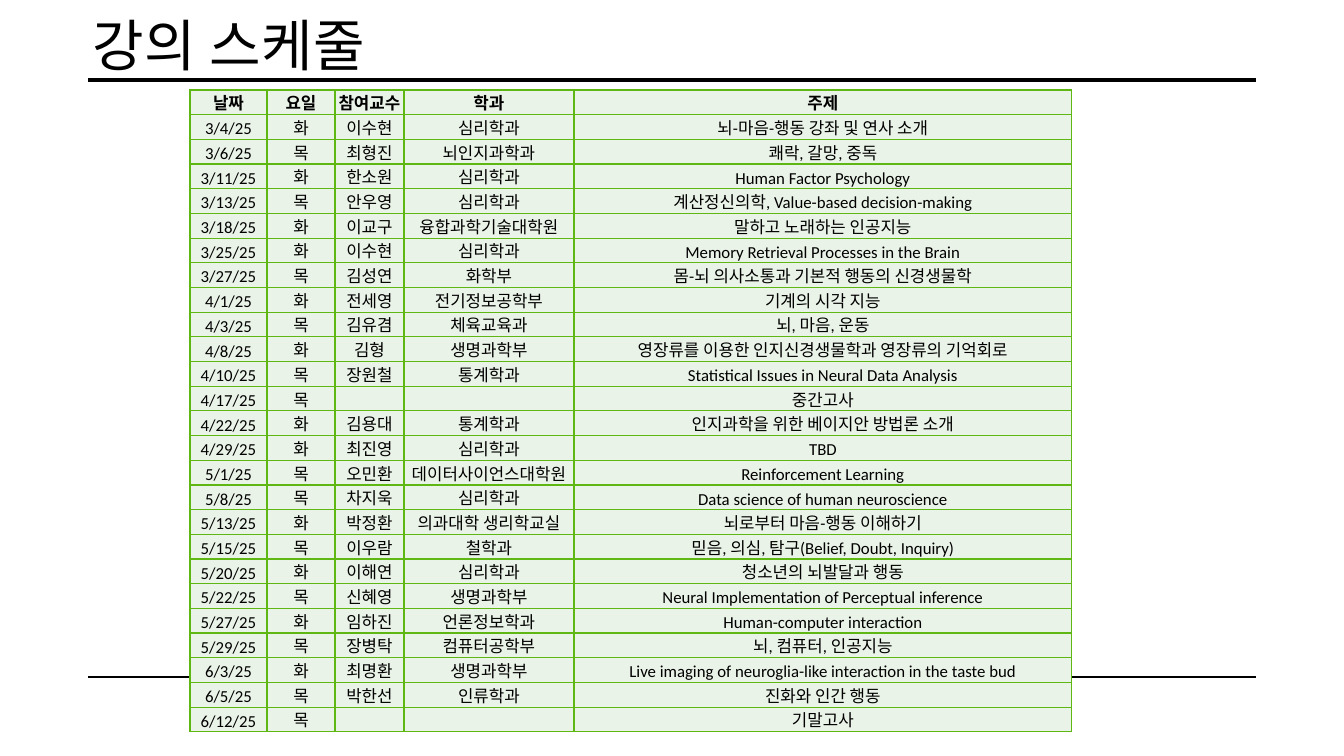
from pptx import Presentation
from pptx.dml.color import RGBColor
from pptx.enum.shapes import MSO_CONNECTOR as Connector
from pptx.enum.text import MSO_ANCHOR as Anchor, PP_ALIGN as Align
from pptx.oxml import parse_xml
from pptx.oxml.ns import nsdecls
from pptx.util import Emu, Pt

SLIDE_W, SLIDE_H = 1344, 756
EMU_PER_PX = 12192000 / SLIDE_W

BLACK = RGBColor(0x00, 0x00, 0x00)
PALE_GREEN = RGBColor(0xEA, 0xF3, 0xE7)
GREEN = RGBColor(0x5F, 0xB7, 0x14)

COLUMN_WIDTHS = (77, 68, 69, 170, 498)
SCHEDULE = [
    ("날짜", "요일", "참여교수", "학과", "주제"),
    ("3/4/25", "화", "이수현", "심리학과", "뇌-마음-행동 강좌 및 연사 소개"),
    ("3/6/25", "목", "최형진", "뇌인지과학과", "쾌락, 갈망, 중독"),
    ("3/11/25", "화", "한소원", "심리학과", "Human Factor Psychology"),
    ("3/13/25", "목", "안우영", "심리학과", "계산정신의학, Value-based decision-making"),
    ("3/18/25", "화", "이교구", "융합과학기술대학원", "말하고 노래하는 인공지능"),
    ("3/25/25", "화", "이수현", "심리학과", "Memory Retrieval Processes in the Brain"),
    ("3/27/25", "목", "김성연", "화학부", "몸-뇌 의사소통과 기본적 행동의 신경생물학"),
    ("4/1/25", "화", "전세영", "전기정보공학부", "기계의 시각 지능"),
    ("4/3/25", "목", "김유겸", "체육교육과", "뇌, 마음, 운동"),
    ("4/8/25", "화", "김형", "생명과학부", "영장류를 이용한 인지신경생물학과 영장류의 기억회로"),
    ("4/10/25", "목", "장원철", "통계학과", "Statistical Issues in Neural Data Analysis"),
    ("4/17/25", "목", "", "", "중간고사"),
    ("4/22/25", "화", "김용대", "통계학과", "인지과학을 위한 베이지안 방법론 소개"),
    ("4/29/25", "화", "최진영", "심리학과", "TBD"),
    ("5/1/25", "목", "오민환", "데이터사이언스대학원", "Reinforcement Learning"),
    ("5/8/25", "목", "차지욱", "심리학과", "Data science of human neuroscience"),
    ("5/13/25", "화", "박정환", "의과대학 생리학교실", "뇌로부터 마음-행동 이해하기"),
    ("5/15/25", "목", "이우람", "철학과", "믿음, 의심, 탐구(Belief, Doubt, Inquiry)"),
    ("5/20/25", "화", "이해연", "심리학과", "청소년의 뇌발달과 행동"),
    ("5/22/25", "목", "신혜영", "생명과학부", "Neural Implementation of Perceptual inference"),
    ("5/27/25", "화", "임하진", "언론정보학과", "Human-computer interaction"),
    ("5/29/25", "목", "장병탁", "컴퓨터공학부", "뇌, 컴퓨터, 인공지능"),
    ("6/3/25", "화", "최명환", "생명과학부",
     "Live imaging of neuroglia-like interaction in the taste bud"),
    ("6/5/25", "목", "박한선", "인류학과", "진화와 인간 행동"),
    ("6/12/25", "목", "", "", "기말고사"),
]


def px(length):
    return Emu(round(length * EMU_PER_PX))


class LectureSlide:
    title_font, title_size = "Roboto Condensed", 40
    body_font, body_size = "Calibri", 12

    def __init__(self, deck):
        self.slide = deck.slides.add_slide(deck.slide_layouts[6])

    def rule(self, left, right, y, weight):
        rule = self.slide.shapes.add_connector(
            Connector.STRAIGHT, px(left), px(y), px(right), px(y))
        rule.line.color.rgb = BLACK
        rule.line.width = Pt(weight)
        rule._element.spPr.append(parse_xml(f"<a:effectLst {nsdecls('a')}/>"))

    def style(self, run, font, size, bold=False):
        run.font.name = font
        run.font.size = Pt(size)
        run.font.bold = bold
        run.font.color.rgb = BLACK

    def title(self, text, left, top, width, height):
        box = self.slide.shapes.add_textbox(px(left), px(top), px(width), px(height))
        frame = box.text_frame
        frame.word_wrap = True
        frame.vertical_anchor = Anchor.MIDDLE
        frame.text = text
        run = frame.paragraphs[0].runs[0]
        self.style(run, self.title_font, self.title_size)
        run.font._element.set("spc", "30")

    def table(self, rows, widths, left, top, height):
        table = self.slide.shapes.add_table(
            len(rows), len(widths), px(left), px(top), px(sum(widths)), px(height)).table
        table.first_row = table.horz_banding = False
        for column, width in zip(table.columns, widths):
            column.width = px(width)
        for r, row in enumerate(rows):
            table.rows[r].height = px(height / len(rows))
            for c, text in enumerate(row):
                self.cell(table.cell(r, c), text, bold=r == 0)

    def cell(self, cell, text, bold):
        cell.margin_left = cell.margin_right = cell.margin_top = cell.margin_bottom = 0
        cell.vertical_anchor = Anchor.BOTTOM
        self.borders(cell)
        cell.fill.solid()
        cell.fill.fore_color.rgb = PALE_GREEN
        paragraph = cell.text_frame.paragraphs[0]
        paragraph.alignment = Align.CENTER
        if text:
            paragraph.text = text
            self.style(paragraph.runs[0], self.body_font, self.body_size, bold)
        else:
            # Keeps an empty cell from stretching its row
            paragraph._p.append(parse_xml(
                f'<a:endParaRPr {nsdecls("a")} sz="{self.body_size * 100}"/>'))

    def borders(self, cell):
        for side in ("lnL", "lnR", "lnT", "lnB"):
            cell._tc.get_or_add_tcPr().append(parse_xml(
                f'<a:{side} {nsdecls("a")} w="{Pt(1)}"><a:solidFill>'
                f'<a:srgbClr val="{GREEN}"/></a:solidFill></a:{side}>'))


def main():
    deck = Presentation()
    deck.slide_width, deck.slide_height = px(SLIDE_W), px(SLIDE_H)
    lecture = LectureSlide(deck)

    # Header and footer rules
    lecture.rule(88, 1256, 80, weight=3.5)
    lecture.rule(88, 1256, 677, weight=1)

    # Title and schedule
    lecture.title("강의 스케줄", 83, 0, 1178, 89)
    lecture.table(SCHEDULE, COLUMN_WIDTHS, 190, 90, 642)

    deck.save("out.pptx")


if __name__ == "__main__":
    main()
